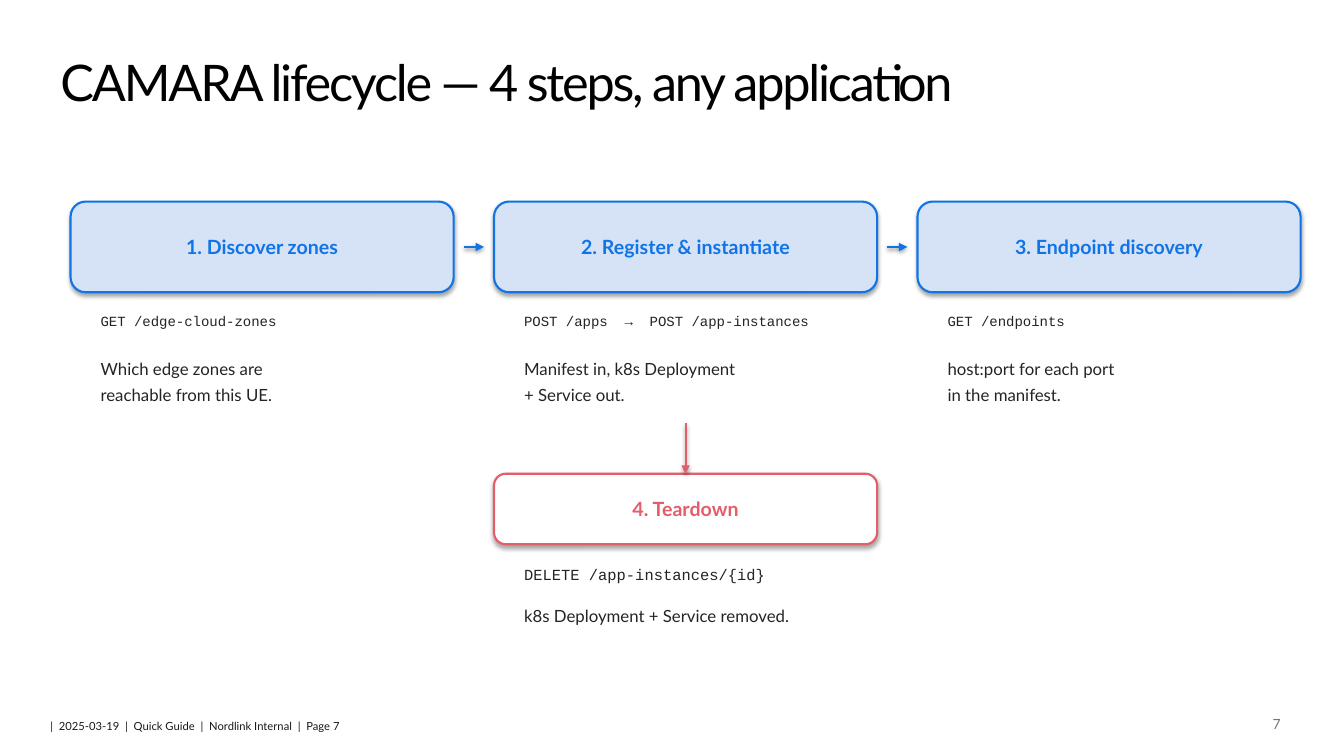
from lxml.etree import SubElement as Sub
from pptx import Presentation
from pptx.dml.color import RGBColor as Rgb
from pptx.enum.shapes import MSO_CONNECTOR as Link, MSO_SHAPE as Kind
from pptx.enum.text import MSO_ANCHOR as Anchor, MSO_AUTO_SIZE as Fit, PP_ALIGN as Align
from pptx.oxml.ns import qn
from pptx.util import Pt

SCALE = 9144  # 100 px to the inch
HEX = {"blue": "1174E6", "pale": "D6E2F5", "red": "E65D6A", "white": "FFFFFF",
       "ink": "242424", "black": "000000", "foot": "181818", "gray": "767676"}
SANS, MONO = "Lato", "Courier New"
LEFT, TOP, WIDE, HIGH, STEP = 70, 200, 380, 90, 420
STEPS = [
    ("1. Discover zones", "GET /edge-cloud-zones",
     "Which edge zones are\nreachable from this UE."),
    ("2. Register & instantiate", "POST /apps  →  POST /app-instances",
     "Manifest in, k8s Deployment\n+ Service out."),
    ("3. Endpoint discovery", "GET /endpoints",
     "host:port for each port\nin the manifest."),
]


def px(*vals):
    return [val * SCALE for val in vals]


def color(name):
    return Rgb.from_string(HEX[name])


def write(frame, text, size, tone, face=SANS, bold=False, align=Align.LEFT, lead=None):
    frame.text = text
    for para in frame.paragraphs:
        para.alignment = align
        para.line_spacing = lead
        font = para.font
        font.name, font.size, font.bold = face, Pt(size), bold
        font.color.rgb = color(tone)


def shade(props, dist, alpha):
    """Give shape properties a soft shadow that falls straight down."""
    fx = props.find(qn("a:effectLst"))
    if fx is None:
        fx = Sub(props, qn("a:effectLst"))
    drop = Sub(fx, qn("a:outerShdw"), blurRad=str(Pt(3.1)), dist=str(Pt(dist)),
               dir="5400000", algn="ctr", rotWithShape="0")
    tint = Sub(drop, qn("a:srgbClr"), val=HEX["black"])
    Sub(tint, qn("a:alpha"), val=str(alpha * 1000))


def add_title(slide, text):
    title = slide.shapes.title
    title.left, title.top, title.width, title.height = px(52, 52, 914, 118)
    frame = title.text_frame
    frame.auto_size, frame.vertical_anchor = Fit.NONE, Anchor.TOP
    frame.margin_left, frame.margin_top = px(8, 8)
    frame.margin_right = frame.margin_bottom = 0
    write(frame, text, 36, "black", lead=0.85)
    for run in frame.paragraphs[0].runs:
        run.font._element.set("spc", "-160")


def add_box(slide, left, top, high, text, fill, tone):
    box = slide.shapes.add_shape(Kind.ROUNDED_RECTANGLE, *px(left, top, WIDE, high))
    box.fill.solid()
    box.fill.fore_color.rgb = color(fill)
    box.line.color.rgb = color(tone)
    box.line.width = Pt(1.5)
    box.shadow.inherit = False
    shade(box._element.spPr, 1.8, 35)
    box.text_frame.vertical_anchor = Anchor.MIDDLE
    write(box.text_frame, text, 14, tone, bold=True, align=Align.CENTER)


def add_text(slide, left, top, wide, high, text, size, tone="ink", **look):
    frame = slide.shapes.add_textbox(*px(left, top, wide, high)).text_frame
    frame.word_wrap = True
    write(frame, text, size, tone, **look)
    return frame


def add_arrow(slide, x1, y1, x2, y2, tone, width):
    arrow = slide.shapes.add_connector(Link.STRAIGHT, *px(x1, y1, x2, y2))
    arrow.line.color.rgb = color(tone)
    arrow.line.width = Pt(width)
    Sub(arrow.line._get_or_add_ln(), qn("a:tailEnd"), type="triangle")
    shade(arrow._element.spPr, 1.6, 38)


def add_foot(slide):
    frame = add_text(slide, 50, 714, 310, 13,
                     "|  2025-03-19  |  Quick Guide  |  Nordlink Internal  |  Page 7",
                     8, "foot")
    frame.margin_left = frame.margin_top = frame.margin_right = frame.margin_bottom = 0
    add_text(slide, 1200, 705, 80, 30, "7", 10, "gray", align=Align.RIGHT)


def main():
    deck = Presentation()
    deck.slide_width, deck.slide_height = px(1333, 750)
    slide = deck.slides.add_slide(deck.slide_layouts[5])
    add_title(slide, "CAMARA lifecycle — 4 steps, any application")

    for num, (name, call, note) in enumerate(STEPS):
        left = LEFT + num * STEP
        add_box(slide, left, TOP, HIGH, name, "pale", "blue")
        add_text(slide, left + 20, 300, 360, 40, call, 10, face=MONO, lead=1.3)
        add_text(slide, left + 20, 345, 360, 70, note, 12, lead=1.3)
        if num:
            mid = TOP + HIGH // 2
            add_arrow(slide, left - 30, mid, left - 10, mid, "blue", 2)

    left = LEFT + STEP
    add_box(slide, left, 470, 70, "4. Teardown", "white", "red")
    add_text(slide, left + 20, 550, 340, 40, "DELETE /app-instances/{id}", 11,
             face=MONO, lead=1.3)
    add_text(slide, left + 20, 590, 340, 50, "k8s Deployment + Service removed.", 12,
             lead=1.3)
    add_arrow(slide, left + WIDE // 2, 420, left + WIDE // 2, 470, "red", 1.5)
    add_foot(slide)
    deck.save("out.pptx")


if __name__ == "__main__":
    main()
